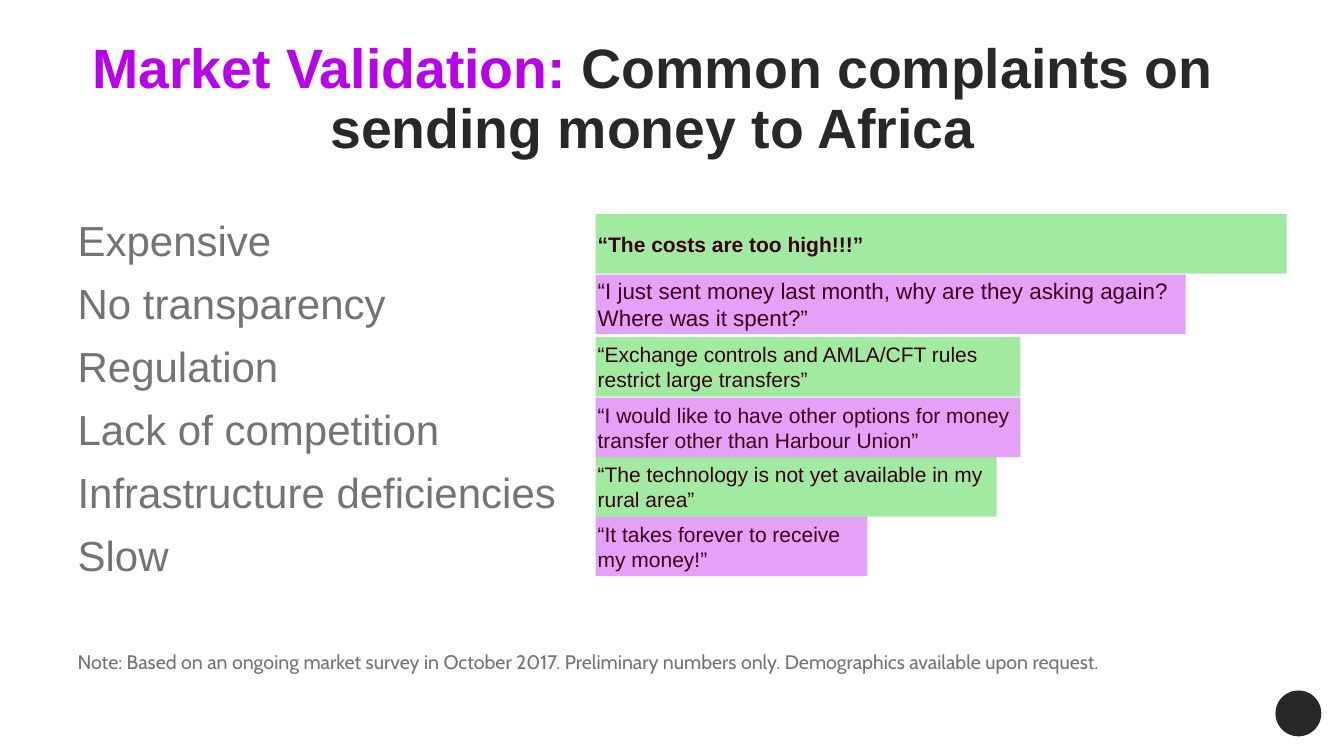
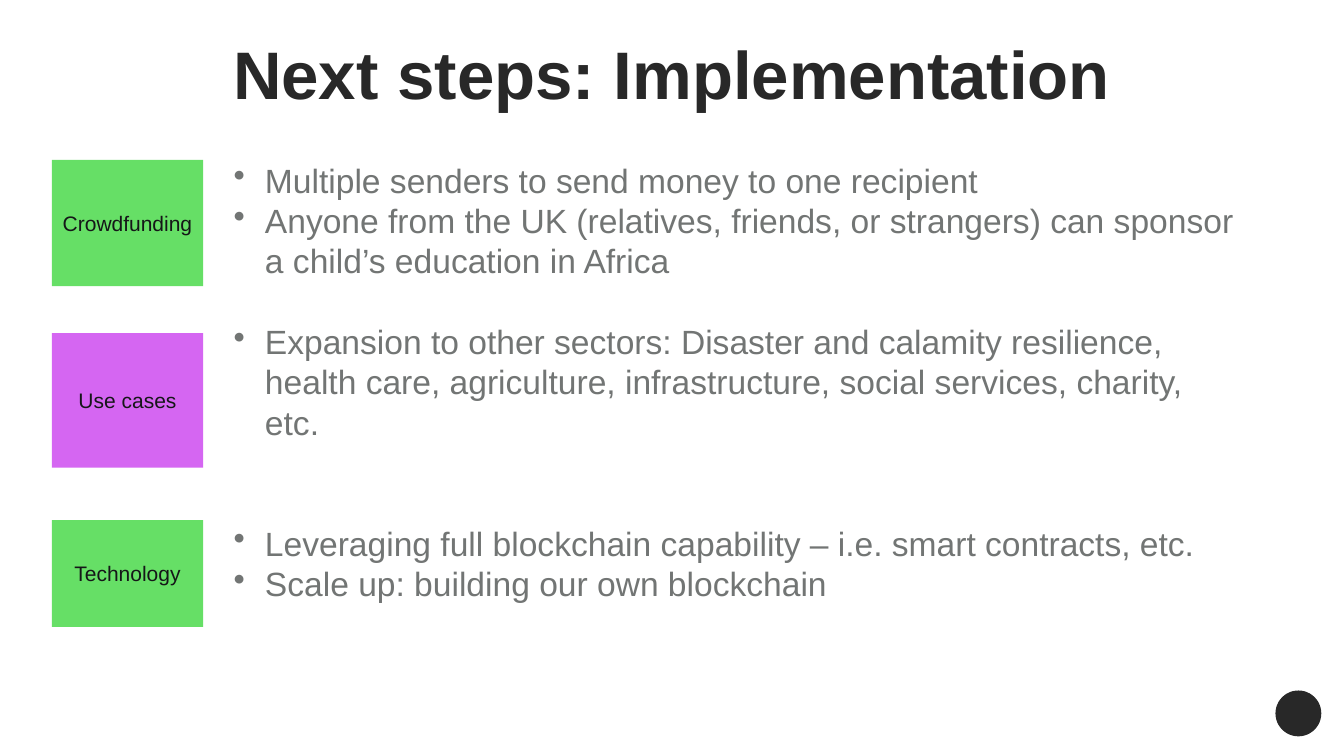
from dataclasses import dataclass

import lxml.etree
import pptx
import pptx.dml.color
import pptx.enum.shapes
import pptx.enum.text
import pptx.oxml.ns
import pptx.shapes.autoshape
import pptx.slide
import pptx.text.text
import pptx.util

RGBColor = pptx.dml.color.RGBColor
ALIGN = pptx.enum.text.PP_ALIGN
ANCHOR = pptx.enum.text.MSO_ANCHOR
SHAPE = pptx.enum.shapes.MSO_SHAPE

PURPLE = RGBColor(0xB9, 0x00, 0xEA)
GREEN = RGBColor(0x00, 0xCB, 0x00)
CHARCOAL = RGBColor(0x28, 0x28, 0x28)
GREY = RGBColor(0x72, 0x75, 0x74)
MAROON = RGBColor(0x3A, 0x01, 0x19)
INK = RGBColor(0x15, 0x16, 0x18)
WHITE = RGBColor(0xFF, 0xFF, 0xFF)

EMU_PER_PX = 9144
INSET = 4
TITLE_ONLY = 5
QUOTE_LEFT = 1182
QUOTE_HEIGHT = 118
STEP_LEFT = 103
STEP_WIDTH = 300
BULLET_INDENT = 62
BODY_SIZE = 48
BLANK_LINE = 57.6


@dataclass(frozen=True)
class Box:
    left: int
    top: int
    width: int
    height: int

    def emu(self) -> list[int]:
        return [px(side) for side in (self.left, self.top, self.width, self.height)]


@dataclass(frozen=True)
class Style:
    size: float
    color: RGBColor
    font: str = "Arial"
    bold: bool = False


@dataclass(frozen=True)
class Quote:
    text: str
    top: int
    width: int
    color: RGBColor
    size: int = 30
    bold: bool = False


@dataclass(frozen=True)
class Step:
    label: str
    top: int
    height: int
    color: RGBColor


@dataclass(frozen=True)
class Bullet:
    text: str
    lines_before: int = 0


COMPLAINTS = [
    "Expensive",
    "No transparency",
    "Regulation",
    "Lack of competition",
    "Infrastructure deficiencies",
    "Slow",
]

QUOTES = [
    Quote("“The costs are too high!!!”", 425, 1371, GREEN, bold=True),
    Quote("“I just sent money last month, why are they asking again? Where was it spent?”",
          545, 1171, PURPLE, size=32),
    Quote("“Exchange controls and AMLA/CFT rules restrict large transfers”", 669, 843, GREEN),
    Quote("“I would like to have other options for money transfer other than Harbour Union”",
          789, 843, PURPLE),
    Quote("“The technology is not yet available in my rural area”", 907, 796, GREEN),
    Quote("“It takes forever to receive my money!”", 1025, 539, PURPLE),
]

STEPS = [
    Step("Crowdfunding", 317, 251, GREEN),
    Step("Use cases", 661, 267, PURPLE),
    Step("Technology", 1032, 212, GREEN),
]

BULLETS = [
    Bullet("Multiple senders to send money to one recipient"),
    Bullet("Anyone from the UK (relatives, friends, or strangers) can sponsor "
           "a child’s education in Africa"),
    Bullet("Expansion to other sectors: Disaster and calamity resilience, health care, "
           "agriculture, infrastructure, social services, charity, etc.", 1),
    Bullet("Leveraging full blockchain capability – i.e. smart contracts, etc.", 2),
    Bullet("Scale up: building our own blockchain"),
]

NOTE = ("Note: Based on an ongoing market survey in October 2017. Preliminary numbers only. "
        "Demographics available upon request.")


def px(length: int) -> int:
    return pptx.util.Emu(length * EMU_PER_PX)


def format_run(run: pptx.text.text._Run, style: Style) -> None:
    run.font.name = style.font
    run.font.size = pptx.util.Pt(style.size)
    run.font.bold = style.bold
    run.font.color.rgb = style.color


def prepare_frame(frame: pptx.text.text.TextFrame, anchor: ANCHOR,
                  inset_x: int = INSET, inset_y: int = INSET) -> None:
    frame.word_wrap = True
    frame.auto_size = pptx.enum.text.MSO_AUTO_SIZE.NONE
    frame.vertical_anchor = anchor
    frame.margin_left = frame.margin_right = px(inset_x)
    frame.margin_top = frame.margin_bottom = px(inset_y)


def write(frame: pptx.text.text.TextFrame, lines: list[str], style: Style,
          align: ALIGN = ALIGN.LEFT, space_after: int = 0) -> None:
    frame.text = "\n".join(lines)
    for paragraph in frame.paragraphs:
        paragraph.alignment = align
        paragraph.space_after = pptx.util.Pt(space_after)
        for run in paragraph.runs:
            format_run(run, style)


def add_filled(slide: pptx.slide.Slide, kind: SHAPE, box: Box, color: RGBColor,
               opacity: int = 100) -> pptx.shapes.autoshape.Shape:
    shape = slide.shapes.add_shape(kind, *box.emu())
    shape.shadow.inherit = False
    shape.line.fill.background()
    shape.fill.solid()
    shape.fill.fore_color.rgb = color
    if opacity < 100:
        color_element = shape._element.spPr.find(pptx.oxml.ns.qn("a:solidFill"))[0]
        alpha = lxml.etree.SubElement(color_element, pptx.oxml.ns.qn("a:alpha"))
        alpha.set("val", str(opacity * 1000))
    return shape


def add_label(slide: pptx.slide.Slide, box: Box, color: RGBColor, opacity: int,
              text: str, style: Style, align: ALIGN) -> None:
    shape = add_filled(slide, SHAPE.RECTANGLE, box, color, opacity)
    prepare_frame(shape.text_frame, ANCHOR.MIDDLE)
    write(shape.text_frame, [text], style, align)


def add_text(slide: pptx.slide.Slide, box: Box, lines: list[str], style: Style,
             space_after: int = 0) -> None:
    frame = slide.shapes.add_textbox(*box.emu()).text_frame
    prepare_frame(frame, ANCHOR.MIDDLE)
    write(frame, lines, style, space_after=space_after)


def add_bullets(slide: pptx.slide.Slide, box: Box, bullets: list[Bullet], style: Style) -> None:
    frame = slide.shapes.add_textbox(*box.emu()).text_frame
    prepare_frame(frame, ANCHOR.TOP, 10, 5)
    write(frame, [bullet.text for bullet in bullets], style)
    for paragraph, bullet in zip(frame.paragraphs, bullets):
        paragraph.space_before = pptx.util.Pt(bullet.lines_before * BLANK_LINE)
        properties = paragraph._p.get_or_add_pPr()
        properties.set("marL", str(px(BULLET_INDENT)))
        properties.set("indent", str(-px(BULLET_INDENT)))
        marker = lxml.etree.SubElement(properties, pptx.oxml.ns.qn("a:buChar"))
        marker.set("char", "•")


def add_titled_slide(presentation: pptx.presentation.Presentation, box: Box, size: float,
                     parts: list[tuple[str, RGBColor]]) -> pptx.slide.Slide:
    slide = presentation.slides.add_slide(presentation.slide_layouts[TITLE_ONLY])
    slide.background.fill.solid()
    slide.background.fill.fore_color.rgb = WHITE
    title = slide.shapes.title
    title.left, title.top, title.width, title.height = box.emu()
    prepare_frame(title.text_frame, ANCHOR.TOP)
    paragraph = title.text_frame.paragraphs[0]
    paragraph.alignment = ALIGN.CENTER
    paragraph.line_spacing = 0.9
    paragraph.space_before = pptx.util.Pt(0)
    for text, color in parts:
        run = paragraph.add_run()
        run.text = text
        format_run(run, Style(size, color, bold=True))
    add_filled(slide, SHAPE.OVAL, Box(2531, 1370, 91, 91), CHARCOAL)
    return slide


def build_complaints(presentation: pptx.presentation.Presentation) -> None:
    slide = add_titled_slide(presentation, Box(51, 77, 2488, 216), 79.2, [
        ("Market Validation: ", PURPLE),
        ("Common complaints on sending money to Africa", CHARCOAL),
    ])
    add_text(slide, Box(150, 406, 961, 766), COMPLAINTS, Style(60, GREY), 18)
    add_text(slide, Box(150, 1285, 2132, 56), [NOTE], Style(28, GREY, "Cabin"))
    for quote in QUOTES:
        add_label(slide, Box(QUOTE_LEFT, quote.top, quote.width, QUOTE_HEIGHT), quote.color, 37,
                  quote.text, Style(quote.size, MAROON, bold=quote.bold), ALIGN.LEFT)


def build_next_steps(presentation: pptx.presentation.Presentation) -> None:
    slide = add_titled_slide(presentation, Box(285, 79, 2096, 238), 96,
                             [("Next steps: Implementation", CHARCOAL)])
    for step in STEPS:
        add_label(slide, Box(STEP_LEFT, step.top, STEP_WIDTH, step.height), step.color, 60,
                  step.label, Style(30, INK), ALIGN.CENTER)
    add_bullets(slide, Box(454, 312, 2017, 1060), BULLETS, Style(BODY_SIZE, GREY))


def main() -> None:
    presentation = pptx.Presentation()
    presentation.slide_width = px(2667)
    presentation.slide_height = px(1500)
    build_complaints(presentation)
    build_next_steps(presentation)
    presentation.save("out.pptx")


if __name__ == "__main__":
    main()
